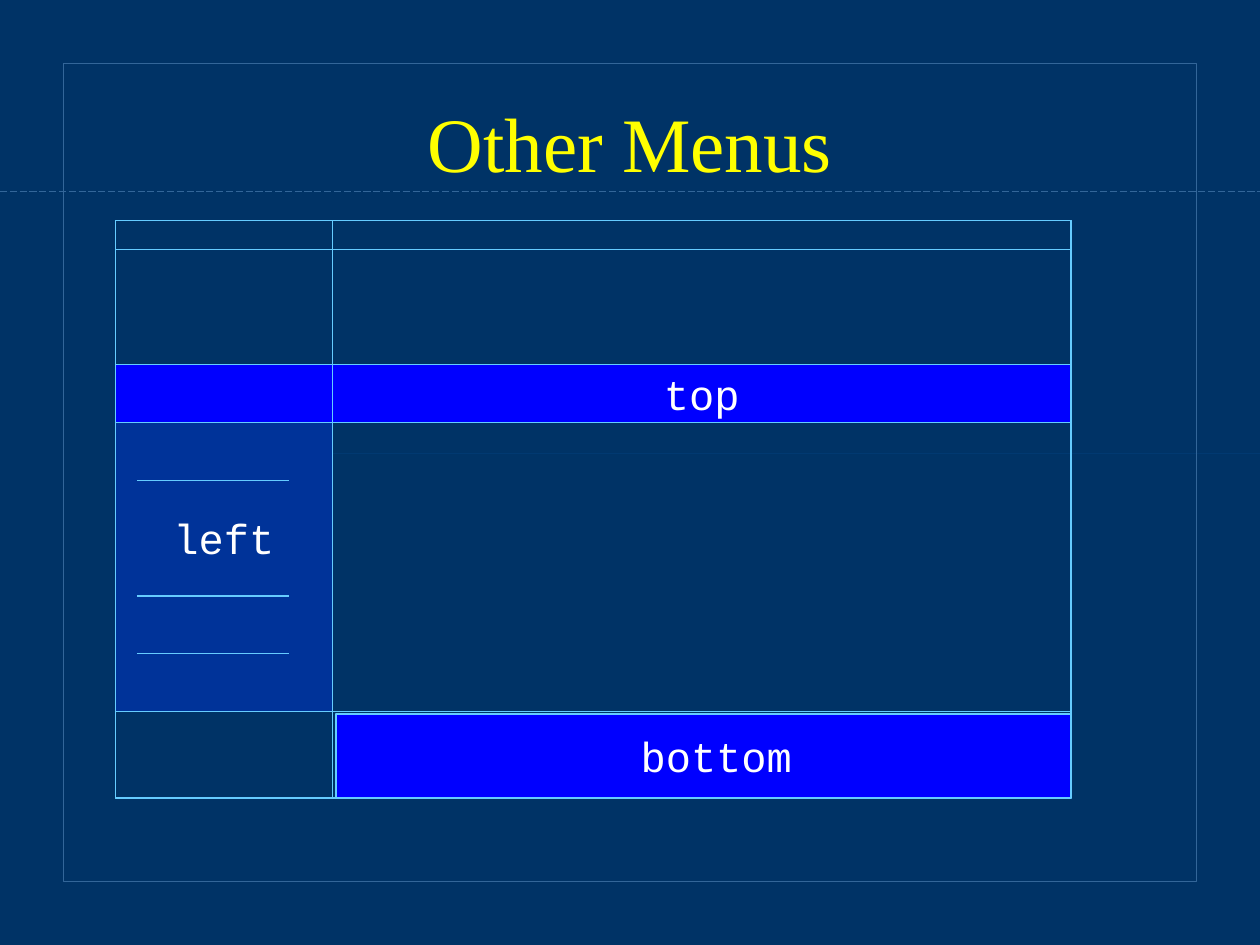
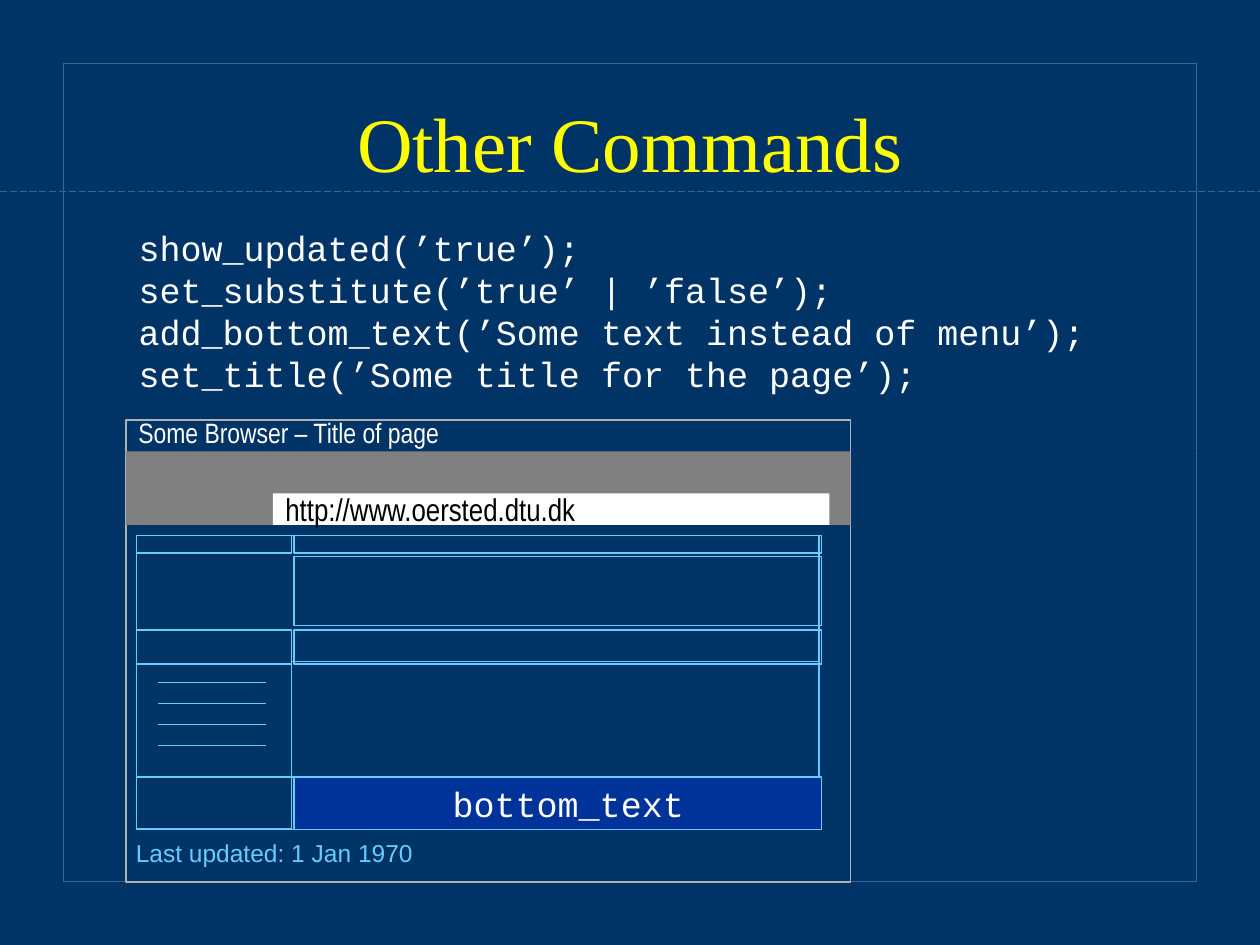
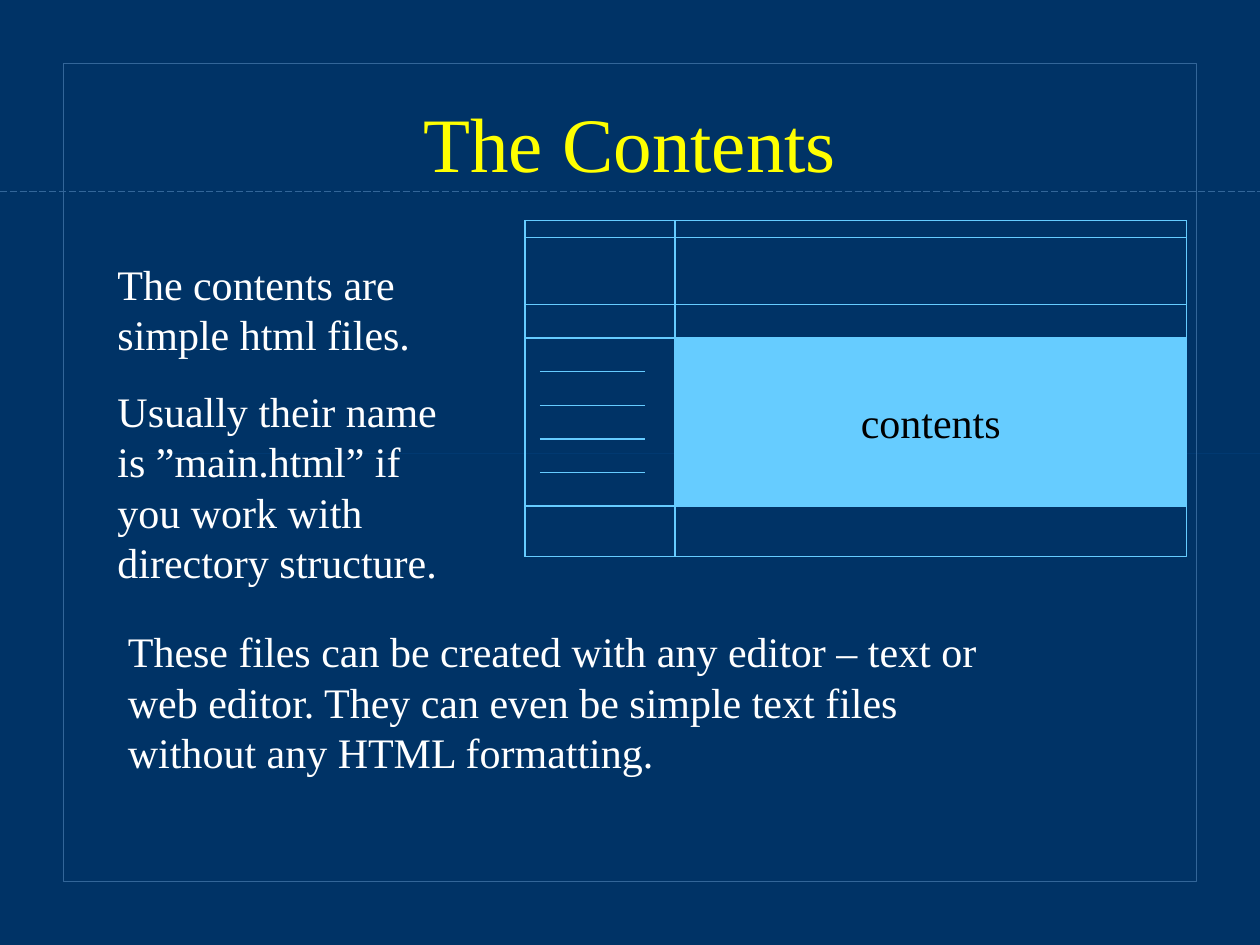
import pptx
import pptx.util
from pptx.dml.color import RGBColor
from pptx.enum.dml import MSO_LINE
from pptx.enum.shapes import MSO_CONNECTOR, MSO_SHAPE
from pptx.enum.text import MSO_ANCHOR, PP_ALIGN
from pptx.oxml.xmlchemy import OxmlElement

Pt = pptx.util.Pt

NAVY = RGBColor(0x00, 0x33, 0x66)
STEEL = RGBColor(0x33, 0x66, 0x99)
HAIRLINE = RGBColor(0x08, 0x63, 0xC4)
YELLOW = RGBColor(0xFF, 0xFF, 0x00)
SKY = RGBColor(0x66, 0xCC, 0xFF)
BLUE = RGBColor(0x00, 0x00, 0xFF)
ROYAL = RGBColor(0x00, 0x33, 0x99)
SILVER = RGBColor(0xB2, 0xB2, 0xB2)
GRAY = RGBColor(0x80, 0x80, 0x80)
WHITE = RGBColor(0xFF, 0xFF, 0xFF)
BLACK = RGBColor(0x00, 0x00, 0x00)

SERIF, MONO, SANS, NARROW = "Times New Roman", "Courier New", "Arial", "Arial Narrow"

# Content
COMMANDS = [
    "show_updated(’true’);",
    "set_substitute(’true’ | ’false’);",
    "add_bottom_text(’Some text instead of menu’);",
    "set_title(’Some title for the page’);",
]
CONTENTS_NOTES = [
    "The contents are simple html files.",
    "Usually their name is ”main.html” if you work with directory structure.",
]
EDITOR_NOTE = [
    "These files can be created with any editor – text or web editor. "
    "They can even be simple text files without any HTML formatting.",
]

# Web page areas: name, column, first and last row line, in twentieths of the height
AREAS = [
    ("page", "both", 0, 20),
    ("corner", "left", 0, 1),
    ("strip", "right", 0, 1),
    ("left menu", "left", 5, 17),
    ("header", "right", 1, 5),
    ("top menu", "right", 5, 7),
    ("top menu start", "left", 5, 7),
    ("contents", "right", 7, 17),
    ("bottom start", "left", 17, 20),
]
COLUMN_SPLIT = 0.227
RULE_START, RULE_END = 0.0225, 0.182

# Areas of the page inside the browser window: left, top, width, height
BROWSER_AREAS = [
    (78, 306, 390, 168),
    (78, 306, 88.5, 10),
    (168, 306, 301.5, 10),
    (168, 318, 301.5, 39.5),
    (168, 360, 301.5, 19.5),
    (78, 360, 88.5, 19.5),
    (166.5, 378, 301.5, 66),
    (78, 444, 88.5, 29.5),
]


def write(box, lines, size=24, font=SERIF, color=WHITE, align=PP_ALIGN.LEFT,
          anchor=MSO_ANCHOR.TOP, wrap=True, gap=0, indent=0):
    frame = box.text_frame
    frame.word_wrap = wrap
    frame.vertical_anchor = anchor
    frame.margin_left = Pt(7.2 + indent)
    frame.margin_right = Pt(7.2)
    frame.margin_top = frame.margin_bottom = Pt(3.6)
    for index, line in enumerate(lines):
        para = frame.add_paragraph() if index else frame.paragraphs[0]
        para.alignment = align
        para.line_spacing = 1.0
        para.space_before = Pt(gap if index else 0)
        span = para.add_run()
        span.text = line
        span.font.size = Pt(size)
        span.font.name = font
        span.font.color.rgb = color


def add_text(page, place, lines, **style):
    write(page.shapes.add_textbox(*map(Pt, place)), lines, **style)


def add_box(page, place, fill=None, line=SKY, weight=0.75):
    box = page.shapes.add_shape(MSO_SHAPE.RECTANGLE, *map(Pt, place))
    box.shadow.inherit = False
    if fill is None:
        box.fill.background()
    else:
        box.fill.solid()
        box.fill.fore_color.rgb = fill
    if line is None:
        box.line.fill.background()
    else:
        box.line.color.rgb = line
        box.line.width = Pt(weight)
    return box


def add_label(box, label, **style):
    style = {"font": MONO, "align": PP_ALIGN.CENTER, **style}
    write(box, [label], anchor=MSO_ANCHOR.MIDDLE, wrap=False, **style)


def add_rule(page, start, end, y, color=SKY, weight=0.75):
    rule = page.shapes.add_connector(
        MSO_CONNECTOR.STRAIGHT, Pt(start), Pt(y), Pt(end), Pt(y))
    rule.line.color.rgb = color
    rule.line.width = Pt(weight)
    rule._element.spPr.append(OxmlElement("a:effectLst"))
    return rule


def add_page(deck, title):
    page = deck.slides.add_slide(deck.slide_layouts[6])
    page.background.fill.solid()
    page.background.fill.fore_color.rgb = NAVY
    add_box(page, (85, 259.2, 635, 0), fill=HAIRLINE, line=None)
    add_box(page, (36, 36, 648, 468), line=STEEL, weight=0.5)
    add_rule(page, 0, 720, 109.4, STEEL, 0.5).line.dash_style = MSO_LINE.LONG_DASH
    add_text(page, (54, 36, 612, 90), [title], size=44, color=YELLOW,
             align=PP_ALIGN.CENTER, anchor=MSO_ANCHOR.MIDDLE)
    return page


def add_web_page(page, left, top, width, height, fills, rules):
    """Draw the web page areas and return them by name."""
    unit = height / 20
    split = width * COLUMN_SPLIT
    columns = {"both": (left, width), "left": (left, split),
               "right": (left + split, width - split)}
    boxes = {}
    for name, column, first, last in AREAS:
        x, span_width = columns[column]
        place = (x, top + first * unit, span_width, (last - first) * unit)
        boxes[name] = add_box(page, place, fills.get(name))
    for row in rules:
        add_rule(page, left + width * RULE_START, left + width * RULE_END,
                 top + row * unit)
    return boxes


def build_menus(deck):
    page = add_page(deck, "Other Menus")
    fills = {"left menu": ROYAL, "top menu": BLUE, "top menu start": BLUE}
    boxes = add_web_page(page, 66, 126, 546, 330, fills, (9, 13, 15))
    add_label(boxes["left menu"], "left")
    add_label(boxes["top menu"], "top")
    bottom = add_box(page, (192, 408, 420, 48), BLUE)
    add_label(bottom, "bottom", indent=14.4)


def build_commands(deck):
    page = add_page(deck, "Other Commands")
    add_text(page, (60, 126, 570, 103.7), COMMANDS, size=20, font=MONO, indent=12)

    # Web page with its bottom text
    for place in BROWSER_AREAS:
        add_box(page, place)
    for index in range(4):
        add_rule(page, 90, 152, 390 + 12 * index)
    bottom = add_box(page, (168, 444, 301.5, 30), ROYAL)
    add_label(bottom, "bottom_text", size=20, indent=12)
    add_text(page, (70.5, 475.2, 173, 24.5), ["Last updated: 1 Jan 1970"],
             size=14, font=SANS, color=SKY, wrap=False)

    # Browser window
    add_box(page, (72, 240, 414, 264), line=SILVER)
    add_box(page, (72, 258, 414, 42), GRAY, line=None)
    address = add_box(page, (156, 282, 318, 18), WHITE, line=None)
    add_label(address, "http://www.oersted.dtu.dk", size=18, font=NARROW,
              color=BLACK, align=PP_ALIGN.LEFT)
    add_text(page, (72, 234, 186.5, 26.4), ["Some Browser – Title of page"],
             size=16, font=NARROW)


def build_contents(deck):
    page = add_page(deck, "The Contents")
    boxes = add_web_page(page, 300, 126, 378, 192, {"contents": SKY}, (9, 11, 13, 15))
    add_label(boxes["contents"], "contents", font=SERIF, color=BLACK)
    add_text(page, (60, 144, 198, 195), CONTENTS_NOTES, gap=15)
    add_text(page, (66, 354, 522, 93.6), EDITOR_NOTE)


def main():
    deck = pptx.Presentation()
    deck.slide_width, deck.slide_height = Pt(720), Pt(540)
    build_menus(deck)
    build_commands(deck)
    build_contents(deck)
    deck.save("out.pptx")


if __name__ == "__main__":
    main()
